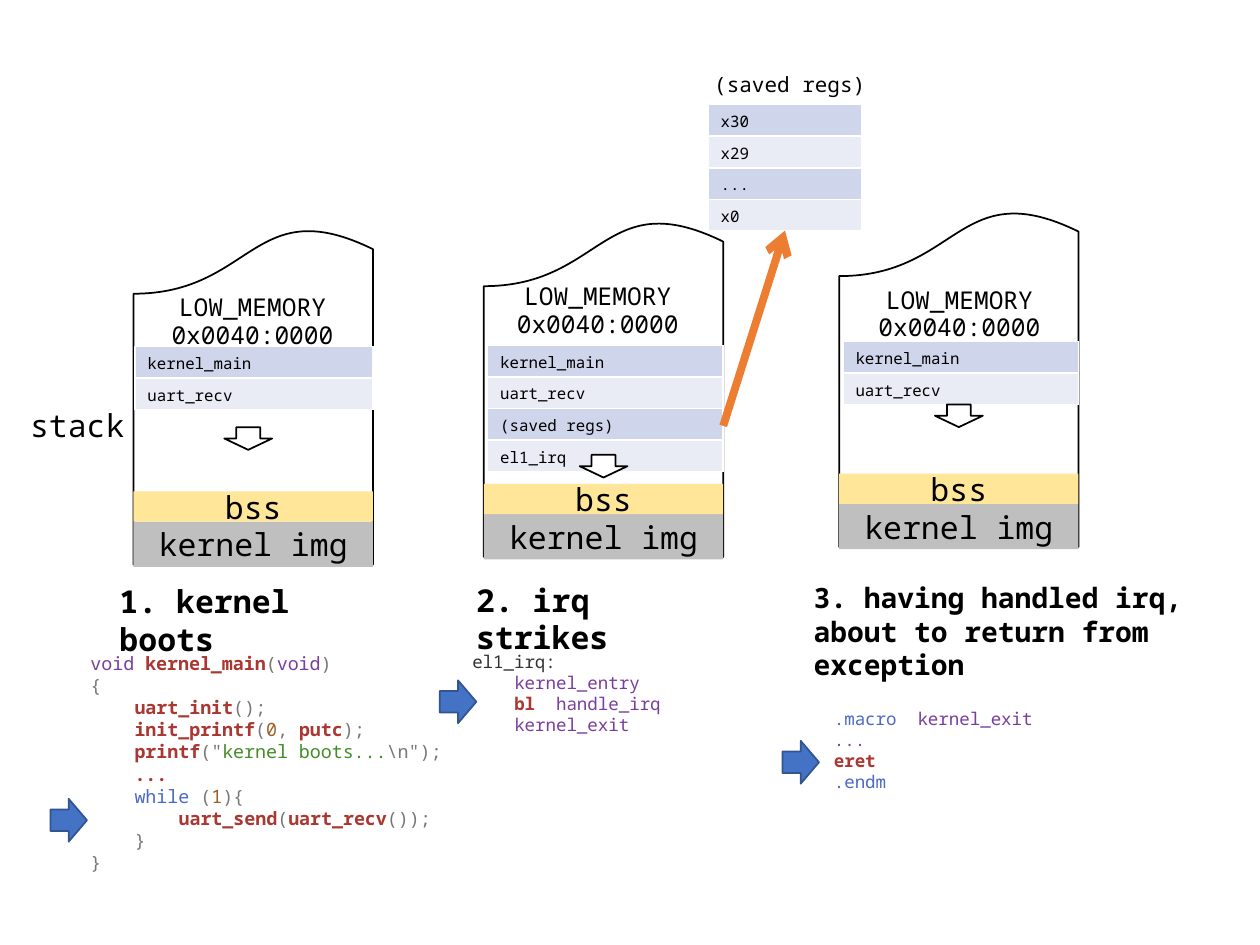
from dataclasses import dataclass

from lxml import etree
from pptx import Presentation
from pptx.dml.color import RGBColor
from pptx.enum.shapes import MSO_CONNECTOR, MSO_SHAPE
from pptx.enum.text import MSO_ANCHOR, PP_ALIGN
from pptx.oxml.ns import qn
from pptx.util import Inches, Pt

WAVY, RECT = MSO_SHAPE.FLOWCHART_DOCUMENT, MSO_SHAPE.RECTANGLE
DOWN, RIGHT = MSO_SHAPE.DOWN_ARROW, MSO_SHAPE.RIGHT_ARROW
STRAIGHT = MSO_CONNECTOR.STRAIGHT
MIDDLE = MSO_ANCHOR.MIDDLE
LEFT, CENTER = PP_ALIGN.LEFT, PP_ALIGN.CENTER


@dataclass(frozen=True)
class Theme:
    """Colours and type sizes of the slide."""
    font: str = "Noto Sans Mono"
    ink: str = "000000"
    paper: str = "FFFFFF"
    image: str = "BFBFBF"
    bss: str = "FFE699"
    marker: str = "4472C4"
    marker_line: str = "325491"
    link: str = "ED7D31"
    rows: tuple = ("CFD5EA", "E9EBF5")
    plain: str = "333333"
    name: str = "7A3E9D"
    call: str = "AA3731"
    mark: str = "777777"
    number: str = "9C5D27"
    string: str = "448C27"
    keyword: str = "4B69C6"
    heading: float = 18
    long_heading: float = 16
    address: float = 14
    caption: float = 12
    code: float = 10
    cell: float = 9


THEME = Theme()
ROW_HEIGHT = 0.25
CHARACTER = 0.6

BOOT_CODE = [
    (0, [("void ", "name"), ("kernel_main", "call"), ("(", "mark"), ("void", "name"), (")", "mark")]),
    (0, [("{", "mark")]),
    (4, [("uart_init", "call"), ("();", "mark")]),
    (4, [("init_printf", "call"), ("(", "mark"), ("0", "number"), (", ", "mark"),
         ("putc", "call"), (");", "mark")]),
    (4, [("printf", "call"), ('("', "mark"), ("kernel boots...", "string"), ('\\n");', "mark")]),
    (4, [("...", "call")]),
    (4, [("while ", "keyword"), ("(", "mark"), ("1", "number"), ("){", "mark")]),
    (8, [("uart_send", "call"), ("(", "mark"), ("uart_recv", "call"), ("());", "mark")]),
    (4, [("}", "mark")]),
    (0, [("}", "mark")]),
]
IRQ_CODE = [
    (0, [("el1_irq:", "plain")]),
    (4, [("kernel_entry", "name")]),
    (4, [("bl\u00a0\u00a0", "call"), ("handle_irq", "name")]),
    (4, [("kernel_exit", "name")]),
]
EXIT_CODE = [
    (0, [(".macro\u00a0\u00a0", "keyword"), ("kernel_exit", "name")]),
    (0, [("...", "name")]),
    (0, [("eret", "call")]),
    (0, [(".endm", "keyword")]),
]

CALLS = ["kernel_main", "uart_recv"]
MEMORIES = [
    dict(left=1.06, top=1.8, label=(0.07, 0.47), stack=(0.01, 0.95, 1.89), arrow=(0.72, 1.59), calls=CALLS),
    dict(left=3.84, top=1.74, label=(0.03, 0.44), stack=(0.03, 1.0, 1.87), arrow=(0.76, 1.87),
         calls=CALLS + ["(saved regs)", "el1_irq"]),
    dict(left=6.66, top=1.66, label=(0.08, 0.55), stack=(0.03, 1.05, 1.87), arrow=(0.76, 1.55), calls=CALLS),
]
STEPS = [
    ((0.85, 4.57, 2.27, 0.4), "1. kernel boots", THEME.heading,
     (0.62, 5.13, 5, 1.87), BOOT_CODE, 10.5, (0.4, 6.34)),
    ((3.68, 4.56, 2.26, 0.4), "2. irq strikes", THEME.heading,
     (3.65, 5.12, 2.54, 0.77), IRQ_CODE, THEME.code, (3.49, 5.4)),
    ((6.36, 4.56, 3.31, 0.91), "3. having handled irq, about to return from exception", THEME.long_heading,
     (6.52, 5.57, 3.3, 0.77), EXIT_CODE, THEME.code, (6.21, 5.88)),
]


def lengths(box):
    """Turn a box of numbers into inches."""
    return [Inches(value) for value in box]


def add_span(para, text, size, color, bold=False):
    """Add one formatted run to a paragraph."""
    span = para.add_run()
    span.text = text
    formats = {"name": THEME.font, "size": Pt(size), "bold": bold}
    for key, value in formats.items():
        setattr(span.font, key, value)
    span.font.color.rgb = RGBColor.from_string(color)


def add_text(page, box, text, size, align=LEFT, bold=False):
    """Place a wrapped line of text."""
    frame = page.shapes.add_textbox(*lengths(box)).text_frame
    frame.word_wrap = True
    frame.paragraphs[0].alignment = align
    add_span(frame.paragraphs[0], text, size, THEME.ink, bold)


def add_block(page, kind, box, fill=None, line=None, text=None):
    """Place a preset shape with optional fill, line and centred text."""
    block = page.shapes.add_shape(kind, *lengths(box))
    block.shadow.inherit = False
    for part, color in ((block.fill, fill), (block.line.fill, line)):
        if color:
            part.solid()
            part.fore_color.rgb = RGBColor.from_string(color)
        else:
            part.background()
    if line:
        block.line.width = Pt(1)
    if text:
        block.text_frame.vertical_anchor = MIDDLE
        para = block.text_frame.paragraphs[0]
        para.alignment = CENTER
        add_span(para, text, THEME.heading, THEME.ink)
    return block


def add_stack(page, left, top, width, entries):
    """Place a one-column table with alternating row colours."""
    box = lengths((left, top, width, ROW_HEIGHT * len(entries)))
    table = page.shapes.add_table(len(entries), 1, *box).table
    table.first_row = False
    for index, entry in enumerate(entries):
        cell = table.cell(index, 0)
        cell.fill.solid()
        cell.fill.fore_color.rgb = RGBColor.from_string(THEME.rows[index % 2])
        add_span(cell.text_frame.paragraphs[0], entry, THEME.cell, THEME.ink)


def add_memory(page, left, top, label, stack, arrow, calls):
    """Draw one memory map with its stack."""
    add_block(page, WAVY, (left, top, 1.9, 2.68), line=THEME.ink).rotation = 180
    for index, text in enumerate(("LOW_MEMORY", "0x0040:0000")):
        box = (left + label[0], top + label[1] + 0.22 * index, 1.75, 0.34)
        add_text(page, box, text, THEME.address, CENTER)
    add_block(page, RECT, (left, top + 2.34, 1.9, 0.36), THEME.image, text="kernel img")
    add_block(page, RECT, (left, top + 2.1, 1.9, 0.24), THEME.bss, text="bss")
    add_stack(page, left + stack[0], top + stack[1], stack[2], calls)
    add_block(page, DOWN, (left + arrow[0], top + arrow[1], 0.38, 0.18), THEME.paper, THEME.ink)


def add_code(page, box, lines, size):
    """Place highlighted code, indented by character columns."""
    frame = page.shapes.add_textbox(*lengths(box)).text_frame
    frame.word_wrap = True
    for index, (indent, spans) in enumerate(lines):
        para = frame.add_paragraph() if index else frame.paragraphs[0]
        margin = Pt(indent * CHARACTER * size)
        para._p.get_or_add_pPr().set("marL", str(int(margin)))
        for text, role in spans:
            add_span(para, text, size, getattr(THEME, role), role == "call")


def add_step(page, heading_box, heading, heading_size, code_box, code, code_size, marker):
    """Place a step heading, its code and the marker of the current line."""
    add_text(page, heading_box, heading, heading_size, bold=True)
    add_code(page, code_box, code, code_size)
    add_block(page, RIGHT, (*marker, 0.29, 0.34), THEME.marker, THEME.marker_line)


def add_saved_registers(page, left, top):
    """Draw the saved registers and the arrow from their stack entry."""
    add_text(page, (left - 0.05, top - 0.31, 1.54, 0.3), "(saved regs)", THEME.caption)
    add_stack(page, left, top, 1.22, ["x30", "x29", "...", "x0"])
    ends = lengths((left + 0.12, top + 2.55, left + 0.61, top + 1))
    link = page.shapes.add_connector(STRAIGHT, *ends)
    link.line.color.rgb = RGBColor.from_string(THEME.link)
    link.line.width = Pt(4.5)
    etree.SubElement(link.line._get_or_add_ln(), qn("a:tailEnd"), type="arrow")
    etree.SubElement(link._element.spPr, qn("a:effectLst"))


def main():
    """Build the slide and save the deck."""
    deck = Presentation()
    deck.slide_width, deck.slide_height = Inches(10), Inches(7.5)
    page = deck.slides.add_slide(deck.slide_layouts[6])
    for memory in MEMORIES:
        add_memory(page, **memory)
    for step in STEPS:
        add_step(page, *step)
    add_text(page, (0.14, 3.17, 1.1, 0.4), "stack", THEME.heading)
    add_saved_registers(page, 5.62, 0.83)
    deck.save("out.pptx")


main()
